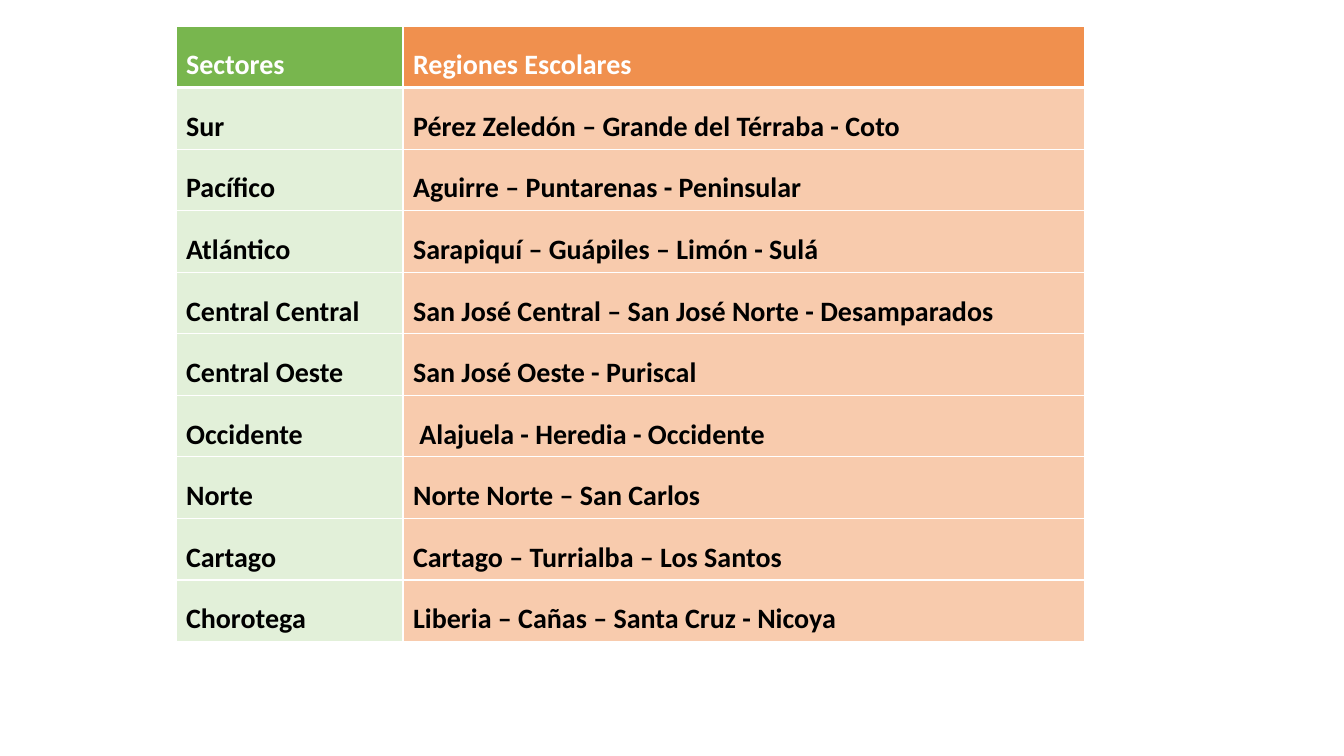
import dataclasses

import pptx
import pptx.dml.color
import pptx.oxml
import pptx.oxml.ns
import pptx.util

PX = 914400 / 100.8


@dataclasses.dataclass(frozen=True)
class Theme:
    """Colours, font and sizes of the slide."""
    font: str = "Calibri"
    size: int = 20
    line_spacing: float = 1.5
    header_text: str = "FFFFFF"
    body_text: str = "000000"
    border: str = "FFFFFF"
    header_fills: tuple = ("78B64E", "F0904E")
    body_fills: tuple = ("E2F0D9", "F8CBAD")
    thin: int = 1
    thick: int = 3


THEME = Theme()

SECTORS = [
    ("Sectores", "Regiones Escolares"),
    ("Sur", "Pérez Zeledón – Grande del Térraba - Coto"),
    ("Pacífico", "Aguirre – Puntarenas - Peninsular"),
    ("Atlántico", "Sarapiquí – Guápiles – Limón - Sulá"),
    ("Central Central", "San José Central – San José Norte - Desamparados"),
    ("Central Oeste", "San José Oeste - Puriscal"),
    ("Occidente", "\u00a0Alajuela - Heredia - Occidente"),
    ("Norte", "Norte Norte – San Carlos"),
    ("Cartago", "Cartago – Turrialba – Los Santos"),
    ("Chorotega", "Liberia – Cañas – Santa Cruz - Nicoya"),
]
COLUMN_WIDTHS = (227, 682)
ROW_HEIGHT = 61


def px(n):
    """Turn pixels into EMU."""
    return pptx.util.Emu(round(n * PX))


def rgb(value):
    """Turn a hex string into a colour."""
    return pptx.dml.color.RGBColor.from_string(value)


def set_borders(cell, **widths):
    """Draw the four cell borders, with widths in points by side."""
    tc_pr = cell._tc.get_or_add_tcPr()
    for side in "LRTB":
        width = pptx.util.Pt(widths.get(side, THEME.thin))
        tc_pr.append(pptx.oxml.parse_xml(
            f'<a:ln{side} {pptx.oxml.ns.nsdecls("a")} w="{width}"><a:solidFill>'
            f'<a:srgbClr val="{THEME.border}"/></a:solidFill></a:ln{side}>'))


def fill_cell(cell, text, fill, color):
    """Write a cell's text and set its fill."""
    cell.fill.solid()
    cell.fill.fore_color.rgb = rgb(fill)
    p = cell.text_frame.paragraphs[0]
    p.text = text
    p.line_spacing = THEME.line_spacing
    p.font.name = THEME.font
    p.font.size = pptx.util.Pt(THEME.size)
    p.font.bold = True
    p.font.color.rgb = rgb(color)


def add_sector_table(slide, left, top):
    """Add the table of sectors and their school regions."""
    table = slide.shapes.add_table(
        len(SECTORS), len(COLUMN_WIDTHS), px(left), px(top),
        px(sum(COLUMN_WIDTHS)), px(ROW_HEIGHT * len(SECTORS))).table
    for column, width in zip(table.columns, COLUMN_WIDTHS):
        column.width = px(width)
    for i, texts in enumerate(SECTORS):
        header = i == 0
        fills = THEME.header_fills if header else THEME.body_fills
        color = THEME.header_text if header else THEME.body_text
        for j, text in enumerate(texts):
            cell = table.cell(i, j)
            set_borders(cell, T=THEME.thick if i == 1 else THEME.thin,
                        B=THEME.thick if header else THEME.thin)
            fill_cell(cell, text, fills[j], color)


def main():
    """Build the slide and save it."""
    prs = pptx.Presentation()
    prs.slide_width, prs.slide_height = px(1344), px(756)
    slide = prs.slides.add_slide(prs.slide_layouts[6])
    add_sector_table(slide, 176, 26)
    prs.save("out.pptx")


main()
